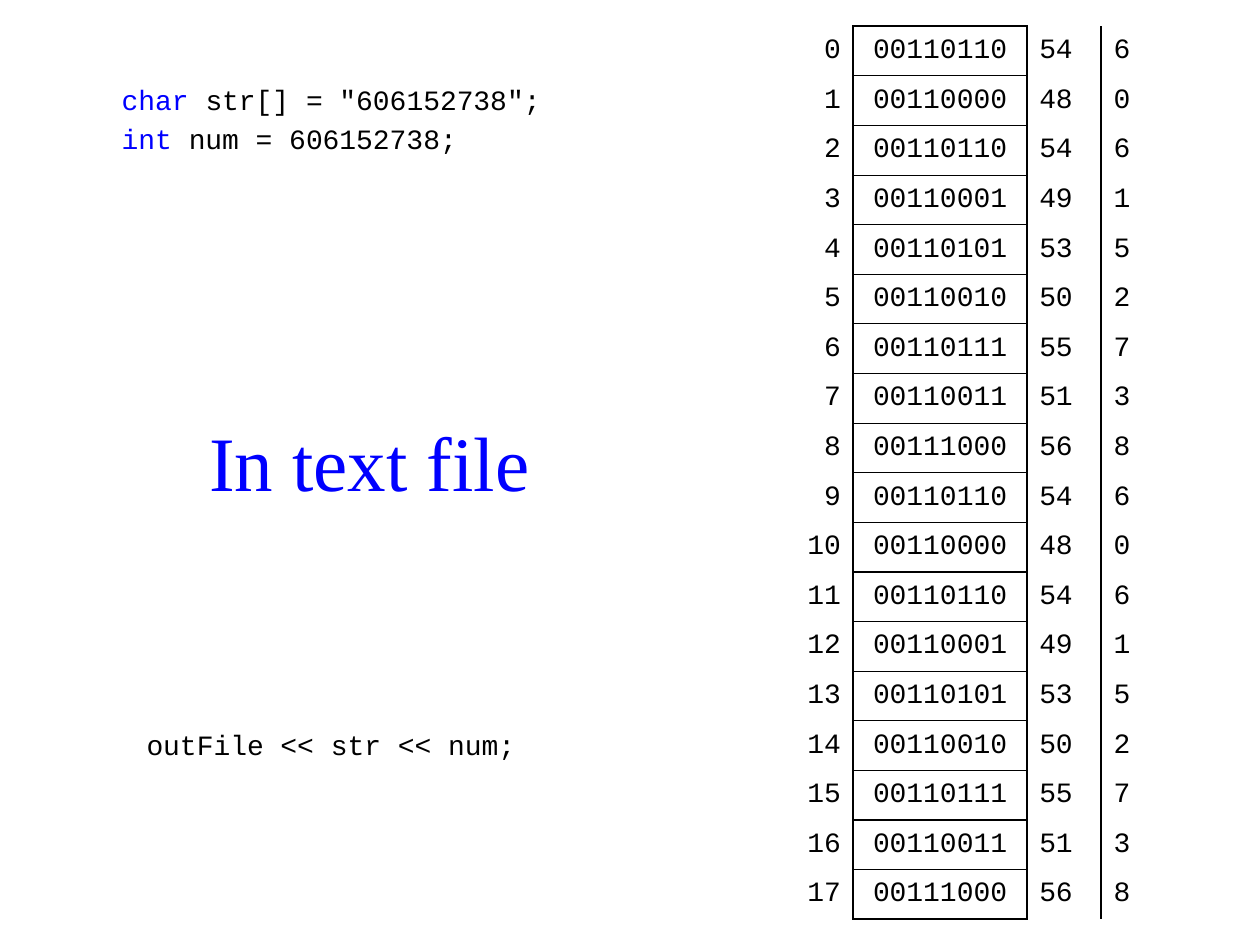
import pptx
import pptx.util
import pptx.dml.color
import pptx.enum.text
import pptx.oxml
import pptx.oxml.ns

Cm = pptx.util.Cm
Pt = pptx.util.Pt
Align = pptx.enum.text.PP_ALIGN
Mid = pptx.enum.text.MSO_ANCHOR.MIDDLE
MONO = "Courier New"
BLACK = "000000"
BLUE = "0000FF"
DIGITS = "606152738" * 2
NO_STYLE = "{2D5ABB26-0587-4C30-8999-92F81FD0307C}"


def paint(run, hue, size=16, face=MONO):
    run.font.size = Pt(size)
    run.font.name = face
    run.font.color.rgb = pptx.dml.color.RGBColor.from_string(hue)


def place(shape, box):
    shape.left, shape.top, shape.width, shape.height = [Cm(n) for n in box]
    shape.text_frame.auto_size = pptx.enum.text.MSO_AUTO_SIZE.NONE
    shape.text_frame.word_wrap = True


def add_title(shape, box, text):
    place(shape, box)
    frame = shape.text_frame
    frame.text = text
    frame.vertical_anchor = Mid
    para = frame.paragraphs[0]
    para.alignment = Align.CENTER
    paint(para.runs[0], BLUE, 44, "Times New Roman")


def add_code(shape, box, lines):
    place(shape, box)
    frame = shape.text_frame
    frame.text = "\n".join(key for key, rest in lines)
    for para, (key, rest) in zip(frame.paragraphs, lines):
        props = para._p.get_or_add_pPr()
        props.set("marL", "0")
        props.set("indent", "0")
        pptx.oxml.ns.qn("a:buNone")
        props.append(pptx.oxml.parse_xml(
            f'<a:buNone {pptx.oxml.ns.nsdecls("a")}/>'))
        for run in para.runs:
            paint(run, BLUE)
        tail = para.add_run()
        tail.text = rest
        paint(tail, BLACK)


def add_edge(cell, side, width):
    cell._tc.get_or_add_tcPr().append(pptx.oxml.parse_xml(
        f'<a:ln{side} {pptx.oxml.ns.nsdecls("a")} w="{Pt(width)}">'
        f'<a:solidFill><a:srgbClr val="{BLACK}"/></a:solidFill></a:ln{side}>'))


def fill_cell(cell, text, align, pad):
    cell.fill.background()
    cell.vertical_anchor = Mid
    cell.margin_left = cell.margin_right = Cm(pad)
    cell.margin_top = cell.margin_bottom = Cm(0.1)
    para = cell.text_frame.paragraphs[0]
    para.text = text
    para.alignment = align
    para.space_before = Pt(3.2)
    paint(para.runs[0], BLACK)


def add_bytes(slide, box, digits):
    count = len(digits)
    frame = slide.shapes.add_table(count, 4, *[Cm(n) for n in box])
    table = frame.table
    table.first_row = table.horz_banding = False
    table._tbl.tblPr.find(pptx.oxml.ns.qn("a:tableStyleId")).text = NO_STYLE
    for col, share in zip(table.columns, (0.2, 7 / 15, 0.2, 2 / 15)):
        col.width = Cm(round(box[2] * share, 2))
    for row in table.rows:
        row.height = Cm(box[3] / count)
    aligns = (Align.RIGHT, Align.CENTER, Align.LEFT, Align.LEFT)
    pads = (0.25, 0.2, 0.25, 0.25)
    for i, char in enumerate(digits):
        code = ord(char)
        cells = table.rows[i].cells
        texts = (str(i), f"{code:08b}", str(code), char)
        top = 1.5 if i == 0 else 0.75
        base = 1.5 if i == count - 1 else 0.75
        add_edge(cells[0], "R", 1.5)
        for side, width in zip("LRTB", (1.5, 1.5, top, base)):
            add_edge(cells[1], side, width)
        add_edge(cells[2], "L", 1.5)
        for cell, text, align, pad in zip(cells, texts, aligns, pads):
            fill_cell(cell, text, align, pad)


def main():
    deck = pptx.Presentation()
    deck.slide_width = Cm(25.4)
    deck.slide_height = Cm(19.05)
    slide = deck.slides.add_slide(deck.slide_layouts[3])
    title, write, setup = slide.placeholders
    add_bytes(slide, (15.7, 0.53, 7.5, 18), DIGITS)
    add_title(title, (3.7, 8.03, 7.5, 2.5), "In text file")
    add_code(write, (2.7, 14.53, 8, 1), [("", "outFile << str << num;")])
    add_code(setup, (2.2, 1.53, 9, 2), [
        ("char ", 'str[] = "606152738";'),
        ("int ", "num = 606152738;"),
    ])
    deck.save("out.pptx")


if __name__ == "__main__":
    main()
